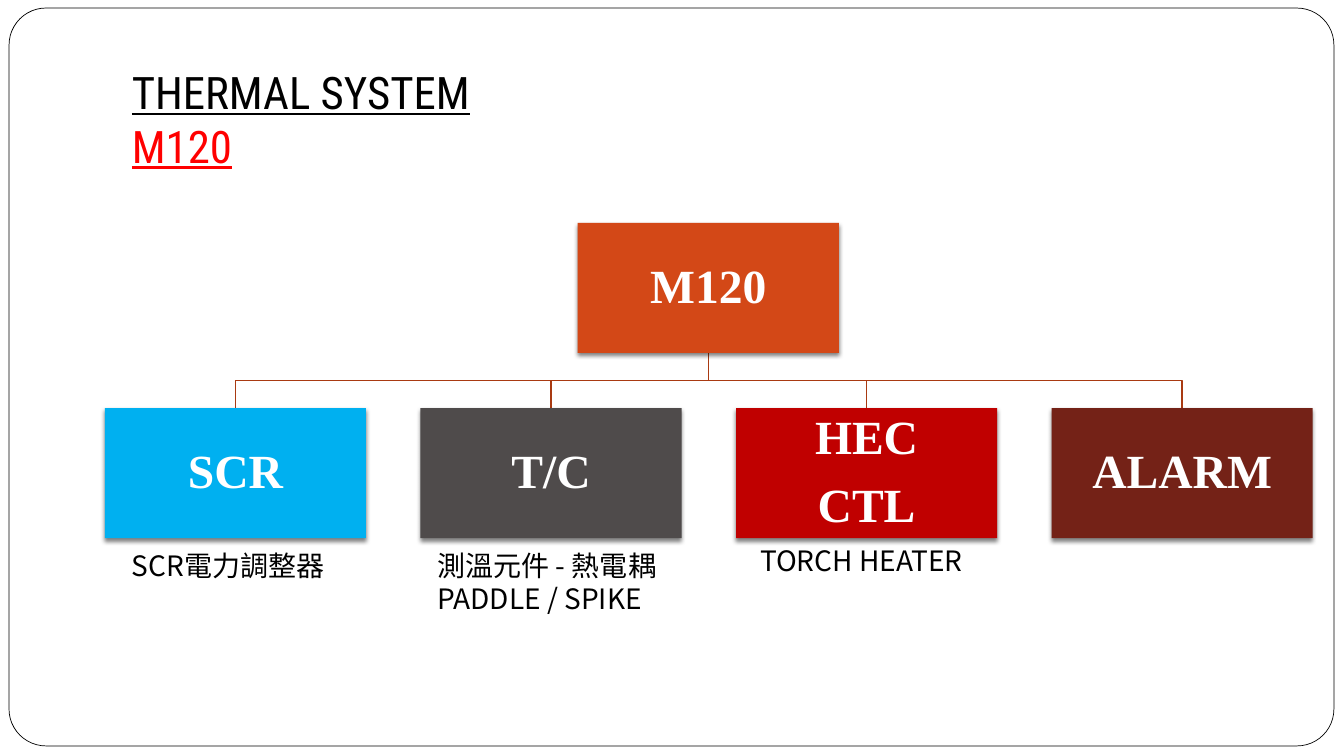
from dataclasses import dataclass

from lxml import etree
from pptx import Presentation
from pptx import util as u
from pptx.dml.color import RGBColor
from pptx.enum import shapes, text
from pptx.oxml import parse_xml
from pptx.oxml.ns import nsdecls, qn

SHADOW = (
    f'<a:effectLst {nsdecls("a")}>'
    '<a:outerShdw blurRad="38100" dist="25400" dir="5400000" rotWithShape="0">'
    '<a:srgbClr val="000000"><a:alpha val="50000"/></a:srgbClr>'
    '</a:outerShdw></a:effectLst>'
)


@dataclass(frozen=True)
class Theme:
    white: str = "FFFFFF"
    black: str = "000000"
    red: str = "FF0000"
    line: str = "A93A12"
    root: str = "D34817"
    branches: tuple = ("00B0F0", "4F4B4B", "C00000", "742217")
    title_font: str = "Roboto Condensed"
    box_font: str = "Times New Roman"
    note_font: str = "Noto Sans CJK SC"
    title_size: int = 32
    box_size: int = 34
    note_size: int = 20


class SlideBuilder:
    def __init__(self, slide, theme):
        self.slide = slide
        self.theme = theme

    def apply(self, target, values):
        for name, value in values.items():
            setattr(target, name, value)

    def run(self, paragraph, words, family, size, color, **values):
        run = paragraph.add_run()
        run.text = words
        self.apply(run.font, {"name": family, "size": u.Pt(size), **values})
        run.font.color.rgb = RGBColor.from_string(color)
        east_asian = etree.SubElement(run.font._element, qn("a:ea"))
        east_asian.set("typeface", family)

    def frame(self, left, top, width, height):
        shape = self.slide.shapes.add_shape(
            shapes.MSO_SHAPE.ROUNDED_RECTANGLE,
            u.Inches(left), u.Inches(top), u.Inches(width), u.Inches(height))
        shape.adjustments[0] = 0.05
        shape.shadow.inherit = False
        shape.fill.solid()
        shape.fill.fore_color.rgb = RGBColor.from_string(self.theme.white)
        shape.line.color.rgb = RGBColor.from_string(self.theme.black)
        shape.line.width = u.Pt(0.5)

    def box(self, lines, left, top, width, height, color):
        shape = self.slide.shapes.add_shape(
            shapes.MSO_SHAPE.RECTANGLE,
            u.Inches(left), u.Inches(top), u.Inches(width), u.Inches(height))
        shape.fill.solid()
        shape.fill.fore_color.rgb = RGBColor.from_string(color)
        shape.line.fill.background()
        shape._element.spPr.append(parse_xml(SHADOW))
        frame = shape.text_frame
        margin = u.Inches(0.02)
        self.apply(frame, {
            "margin_left": margin, "margin_right": margin,
            "margin_top": margin, "margin_bottom": margin,
            "word_wrap": True, "vertical_anchor": text.MSO_ANCHOR.MIDDLE})
        for index, words in enumerate(lines):
            paragraph = frame.add_paragraph() if index else frame.paragraphs[0]
            self.apply(paragraph, {
                "alignment": text.PP_ALIGN.CENTER,
                "line_spacing": 0.9, "space_after": u.Pt(12)})
            self.run(paragraph, words, self.theme.box_font,
                     self.theme.box_size, self.theme.white, bold=True)

    def text_box(self, left, top, width, height):
        shape = self.slide.shapes.add_textbox(
            u.Inches(left), u.Inches(top), u.Inches(width), u.Inches(height))
        shape.text_frame.word_wrap = True
        return shape.text_frame

    def title(self, heading, unit, left, top, width, height):
        paragraph = self.text_box(left, top, width, height).paragraphs[0]
        style = (self.theme.title_font, self.theme.title_size)
        self.run(paragraph, heading, *style, self.theme.black, underline=True)
        paragraph.add_line_break()
        self.run(paragraph, unit, *style, self.theme.red, underline=True)

    def note(self, lines, left, top, width, height):
        frame = self.text_box(left, top, width, height)
        for index, words in enumerate(lines):
            paragraph = frame.add_paragraph() if index else frame.paragraphs[0]
            self.run(paragraph, words, self.theme.note_font,
                     self.theme.note_size, self.theme.black)

    def elbow(self, x1, y1, x2, y2):
        middle = (y1 + y2) / 2
        builder = self.slide.shapes.build_freeform(
            u.Inches(x1), u.Inches(y1))
        corners = [(x1, middle), (x2, middle), (x2, y2)]
        builder.add_line_segments(
            [(u.Inches(x), u.Inches(y)) for x, y in corners], close=False)
        shape = builder.convert_to_shape()
        shape.shadow.inherit = False
        shape.fill.background()
        shape.line.color.rgb = RGBColor.from_string(self.theme.line)
        shape.line.width = u.Pt(1)


def main():
    presentation = Presentation()
    presentation.slide_width = u.Inches(13.33)
    presentation.slide_height = u.Inches(7.5)
    slide = presentation.slides.add_slide(presentation.slide_layouts[6])
    theme = Theme()
    builder = SlideBuilder(slide, theme)

    builder.frame(0.09, 0.08, 13.14, 7.32)

    width, height = 2.59, 1.29
    root_left, root_top = 5.73, 2.21
    first_left, branch_top, pitch = 1.04, 4.05, 3.13
    root_center = root_left + width / 2
    root_bottom = root_top + height

    branches = [["SCR"], ["T/C"], ["HEC", "CTL"], ["ALARM"]]
    lefts = [first_left + pitch * i for i in range(len(branches))]
    for left in reversed(lefts):
        builder.elbow(root_center, root_bottom, left + width / 2, branch_top)

    builder.box(["M120"], root_left, root_top, width, height, theme.root)
    for lines, left, color in zip(branches, lefts, theme.branches):
        builder.box(lines, left, branch_top, width, height, color)

    builder.title("THERMAL SYSTEM", "M120", 1.21, 0.59, 6.67, 1.18)
    builder.note(["SCR電力調整器"], 1.21, 5.39, 2.13, 0.44)
    builder.note(["測溫元件 - 熱電耦", "PADDLE / SPIKE"], 4.24, 5.39, 2.44, 0.77)
    builder.note(["TORCH HEATER"], 7.44, 5.34, 2.44, 0.44)

    presentation.save("out.pptx")


if __name__ == "__main__":
    main()
